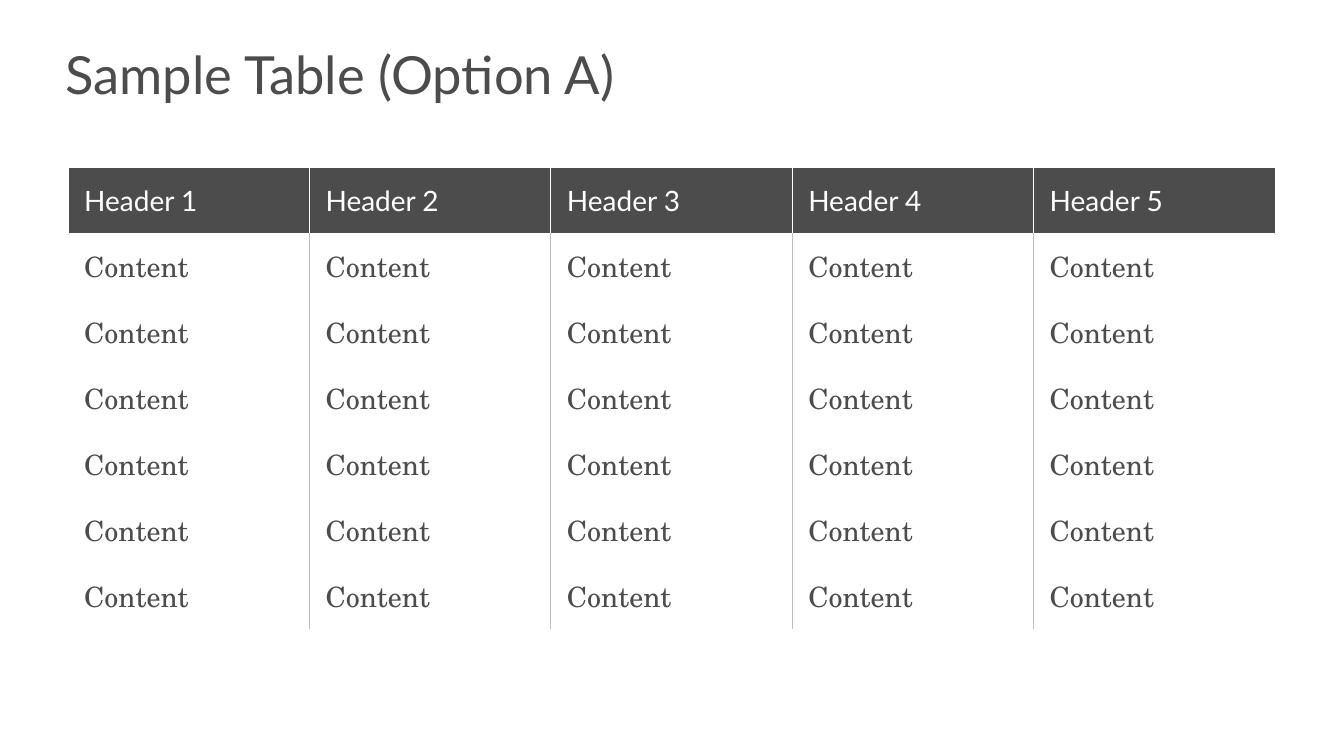
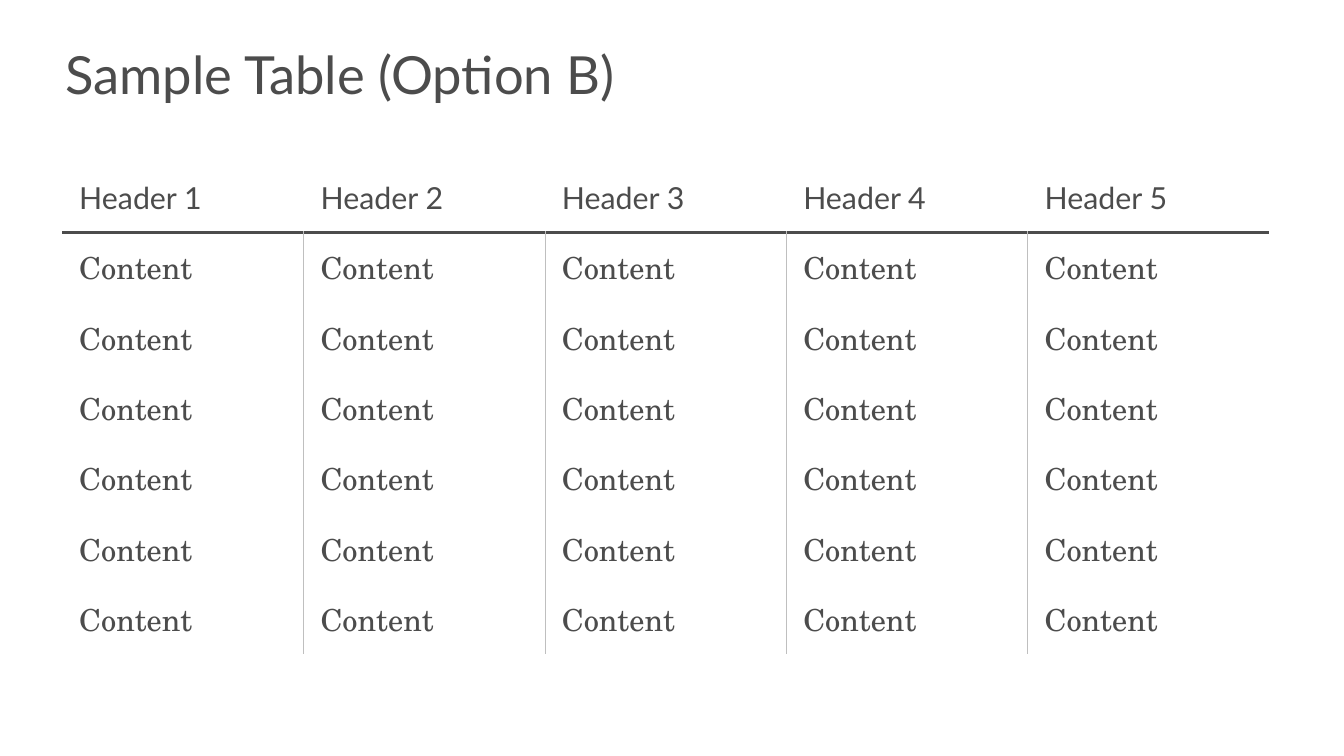
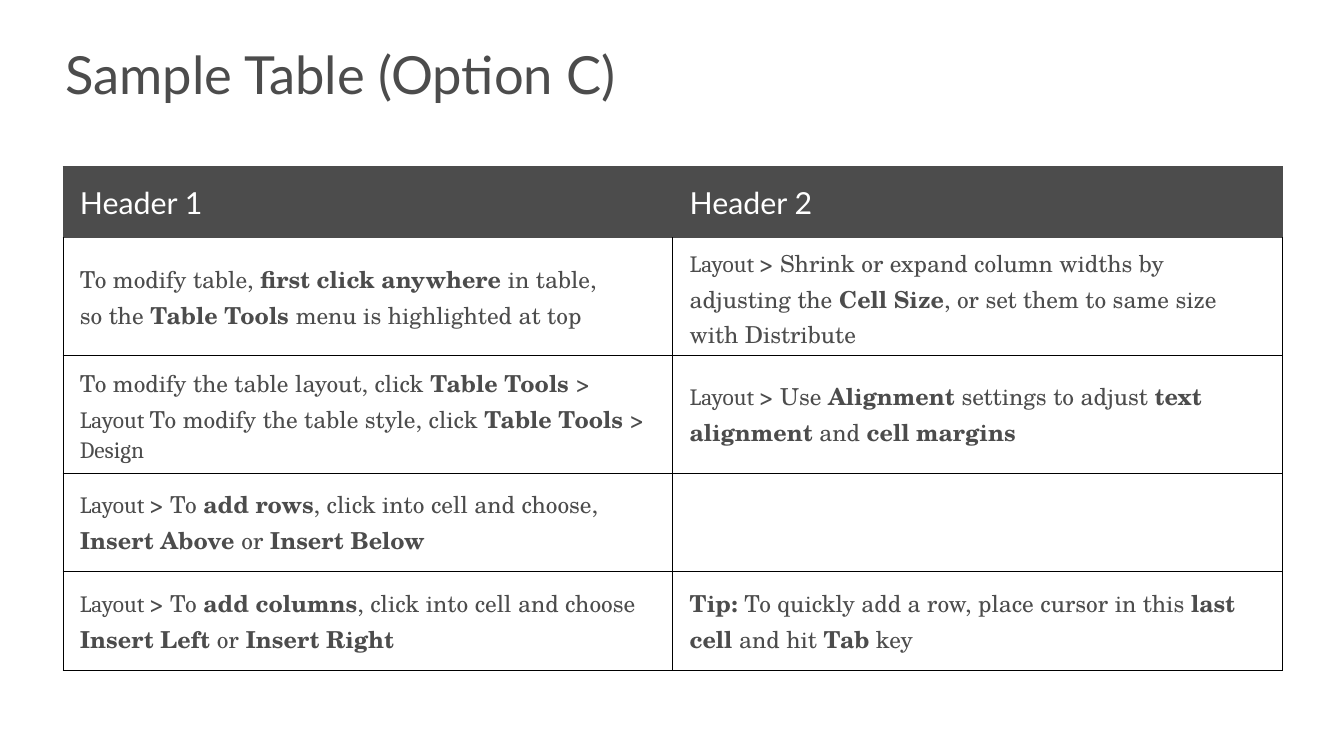
"""Build three slides that show sample table styles."""
from lxml.etree import SubElement
from pptx import Presentation
from pptx.dml.color import RGBColor as Rgb
from pptx.enum.text import MSO_ANCHOR as Anchor
from pptx.oxml.ns import qn
from pptx.util import Pt

COLORS = {"dark": "4C4C4C", "white": "FFFFFF", "rule": "BFBFBF", "black": "000000"}
HEAD_FONT, BODY_FONT, MENU_FONT = "Lato", "TeX Gyre Schola", "Cambria"
MARGINS = ("margin_left", "margin_top", "margin_right", "margin_bottom")
PLAIN_STYLE = {"first_row": False, "horz_banding": False}

HEADERS = [f"Header {number}" for number in range(1, 6)]
SAMPLE_ROWS = [HEADERS] + [["Content"] * 5] * 6
TIPS = [
    HEADERS[:2],
    ["To modify table, *first click anywhere *in table,\nso the *Table Tools *menu is highlighted at top",
     "~Layout ~> Shrink or expand column widths by adjusting the *Cell Size*, or set them to same size with Distribute"],
    ["To modify the table layout, click *Table Tools *> ~Layout ~To modify the table style, click *Table Tools *> ~Design~",
     "~Layout ~> Use *Alignment *settings to adjust *text alignment* and *cell margins*"],
    ["~Layout ~> To *add rows*, click into cell and choose,\n*Insert Above *or *Insert Below*", ""],
    ["~Layout ~> To *add columns*, click into cell and choose *Insert Left *or *Insert Right*",
     "*Tip: *To quickly add a row, place cursor in this *last cell *and hit *Tab* key"],
]

RULE = ("rule", 1)
HEAVY = ("dark", 2.25)
EDGE = ("dark", 1)
GRID = ("black", 1)
WHITE_RULE = ("white", 1)

OPTIONS = [
    {"title": "Sample Table (Option A)", "texts": SAMPLE_ROWS, "left": 58.5, "top": 143.5,
     "column": 206.9, "heights": [56.57] * 7, "sizes": (24, 24), "inset": 13.7, "body_pad": 3.6,
     "head_fill": "dark", "head_text": "white",
     "head_inner": WHITE_RULE, "body_inner": RULE, "outer": None,
     "head_top": WHITE_RULE, "head_bottom": None, "body_between": None},
    {"title": "Sample Table (Option B)", "texts": SAMPLE_ROWS, "left": 53.5, "top": 139,
     "column": 206.9, "heights": [60.28] * 7, "sizes": (26, 26), "inset": 14.4, "body_pad": 3.6,
     "head_fill": "white", "head_text": "dark",
     "head_inner": None, "body_inner": RULE, "outer": None,
     "head_top": None, "head_bottom": HEAVY, "body_between": None},
    {"title": "Sample Table (Option C)", "texts": TIPS, "left": 54, "top": 142.75,
     "column": 522.7, "heights": [61.2, 100.8, 100.8, 84.6, 84.6], "sizes": (26, 20),
     "inset": 14.4, "body_pad": 7.2, "head_fill": "dark", "head_text": "white",
     "head_inner": EDGE, "body_inner": GRID, "outer": GRID,
     "head_top": EDGE, "head_bottom": EDGE, "body_between": GRID},
]


def write(paragraph, text, font_name, size, color):
    for bold_index, part in enumerate(text.split("*")):
        for menu_index, piece in enumerate(part.split("~")):
            for line_index, line in enumerate(piece.split("\n")):
                if line_index:
                    paragraph.add_line_break()
                if not line:
                    continue
                run = paragraph.add_run()
                run.text = line
                look = {"name": MENU_FONT if menu_index % 2 else font_name,
                        "size": Pt(size), "bold": bool(bold_index % 2)}
                for key, value in look.items():
                    setattr(run.font, key, value)
                run.font.color.rgb = Rgb.from_string(COLORS[color])


def draw_borders(cell, borders):
    properties = cell._tc.get_or_add_tcPr()
    for side, border in borders.items():
        line = SubElement(properties, qn(f"a:ln{side}"))
        if border is None:
            line.set("w", "0")
            SubElement(line, qn("a:noFill"))
            continue
        color, width = border
        line.set("w", str(Pt(width)))
        fill = SubElement(line, qn("a:solidFill"))
        SubElement(fill, qn("a:srgbClr")).set("val", COLORS[color])


deck = Presentation()
deck.slide_width, deck.slide_height = Pt(1152), Pt(648)

for option in OPTIONS:
    slide = deck.slides.add_slide(deck.slide_layouts[6])
    texts, heights = option["texts"], option["heights"]
    column_count = len(texts[0])

    table = slide.shapes.add_table(
        len(texts), column_count, Pt(option["left"]), Pt(option["top"]),
        Pt(option["column"] * column_count), Pt(sum(heights))).table
    for key, value in PLAIN_STYLE.items():
        setattr(table, key, value)
    for column in table.columns:
        column.width = Pt(option["column"])

    for row_index, row_texts in enumerate(texts):
        table.rows[row_index].height = Pt(heights[row_index])
        is_head = row_index == 0
        part = "head" if is_head else "body"
        inner = option[f"{part}_inner"]
        outer = option["head_inner"] if is_head else option["outer"]
        above = (option["head_top"] if is_head else
                 option["head_bottom"] if row_index == 1 else option["body_between"])
        below = option["head_bottom"] if is_head else option["body_between"]
        pad = 3.6 if is_head else option["body_pad"]

        for column_index, text in enumerate(row_texts):
            cell = table.cell(row_index, column_index)
            draw_borders(cell, {
                "L": inner if column_index else outer,
                "R": inner if column_index < column_count - 1 else outer,
                "T": above, "B": below})
            cell.fill.solid()
            cell.fill.fore_color.rgb = Rgb.from_string(
                COLORS[option["head_fill"] if is_head else "white"])
            cell.vertical_anchor = Anchor.MIDDLE
            for margin, value in zip(MARGINS, (option["inset"], pad) * 2):
                setattr(cell, margin, Pt(value))
            write(cell.text_frame.paragraphs[0], text,
                  HEAD_FONT if is_head else BODY_FONT,
                  option["sizes"][0 if is_head else 1],
                  option["head_text"] if is_head else "dark")

    title = slide.shapes.add_textbox(Pt(56), Pt(46.8), Pt(1044.7), Pt(45.4)).text_frame
    title.word_wrap = True
    for margin in MARGINS:
        setattr(title, margin, 0)
    title.paragraphs[0].line_spacing = 0.8
    write(title.paragraphs[0], option["title"], HEAD_FONT, 45, "dark")

deck.save("out.pptx")
